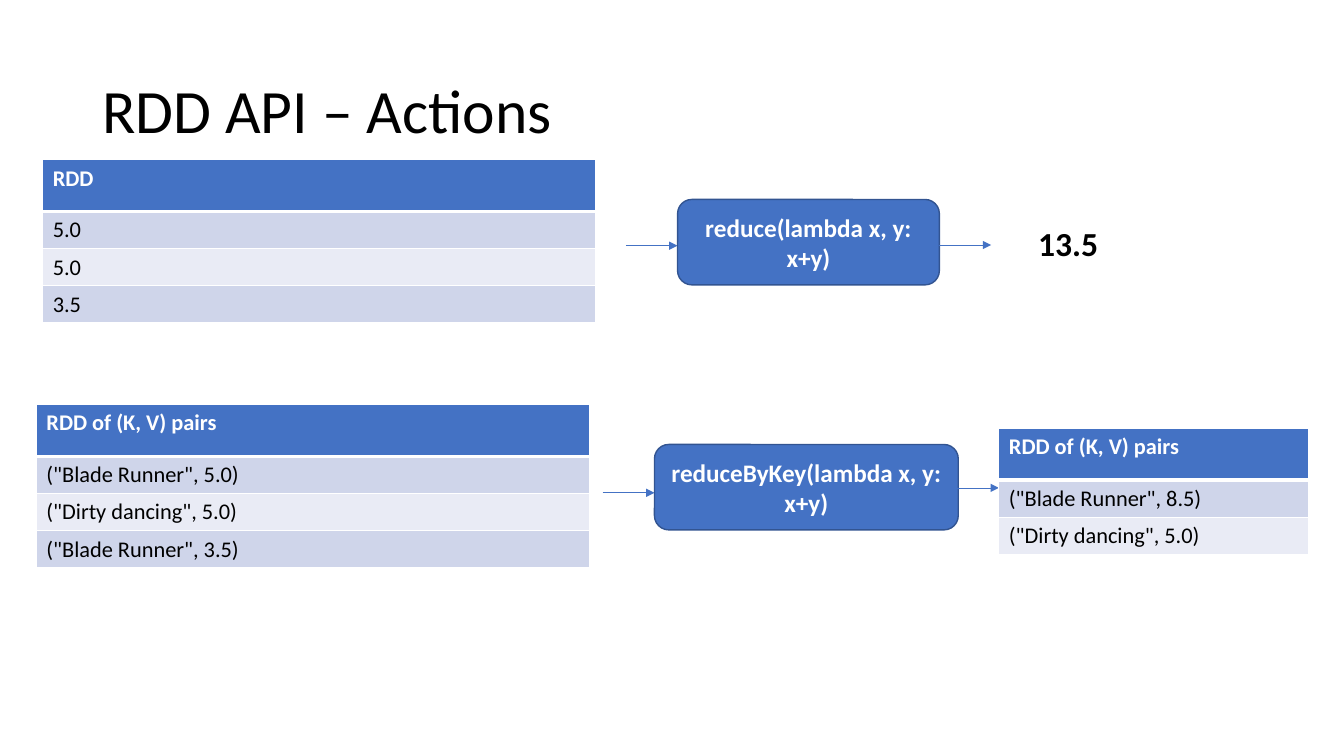
from dataclasses import dataclass

from lxml import etree
from pptx import Presentation
from pptx.dml.color import RGBColor
from pptx.enum.shapes import MSO_CONNECTOR, MSO_SHAPE
from pptx.enum.text import MSO_ANCHOR, PP_ALIGN
from pptx.oxml.ns import qn
from pptx.util import Pt

ROUND = MSO_SHAPE.ROUNDED_RECTANGLE
LINE = MSO_CONNECTOR.STRAIGHT
TOP, MIDDLE = MSO_ANCHOR.TOP, MSO_ANCHOR.MIDDLE
LEFT, CENTER = PP_ALIGN.LEFT, PP_ALIGN.CENTER


@dataclass(frozen=True)
class Theme:
    font: str = "Calibri"
    blue: str = "4472C4"
    edge: str = "325491"
    bands: tuple = ("CFD5EA", "E9EBF5")
    dark: str = "000000"
    light: str = "FFFFFF"
    title: int = 44
    value: int = 24
    label: int = 18
    cell: int = 16


def color(code):
    return RGBColor.from_string(code)


def write(frame, text, *, font, size, ink, bold=False, align=LEFT, space=None):
    """Put one formatted paragraph in a text frame."""
    para = frame.paragraphs[0]
    para.alignment = align
    para.line_spacing = space
    run = para.add_run()
    run.text = text
    run.font.name = font
    run.font.size = Pt(size)
    run.font.bold = bold
    run.font.color.rgb = color(ink)


def border(cell, ink, top, bottom):
    """Draw the four edges of a cell; top and bottom are widths in points."""
    props = cell._tc.get_or_add_tcPr()
    widths = {"a:lnL": 1, "a:lnR": 1, "a:lnT": top, "a:lnB": bottom}
    for spot, (tag, width) in enumerate(widths.items()):
        edge = etree.Element(qn(tag), w=str(Pt(width)))
        fill = etree.SubElement(edge, qn("a:solidFill"))
        etree.SubElement(fill, qn("a:srgbClr"), val=ink)
        props.insert(spot, edge)


class Painter:
    def __init__(self, slide, theme):
        self.slide = slide
        self.theme = theme

    def text(self, text, left, top, width, height, size, anchor=TOP,
             wrap=True, **style):
        box = self.slide.shapes.add_textbox(Pt(left), Pt(top), Pt(width), Pt(height))
        frame = box.text_frame
        frame.word_wrap = wrap
        frame.vertical_anchor = anchor
        write(frame, text, font=self.theme.font, size=size,
              ink=self.theme.dark, **style)

    def step(self, text, left, top, width, height=61):
        look = self.theme
        box = self.slide.shapes.add_shape(
            ROUND, Pt(left), Pt(top), Pt(width), Pt(height))
        box.shadow.inherit = False
        box.fill.solid()
        box.fill.fore_color.rgb = color(look.blue)
        box.line.color.rgb = color(look.edge)
        box.line.width = Pt(1)
        box.text_frame.word_wrap = True
        box.text_frame.vertical_anchor = MIDDLE
        write(box.text_frame, text, font=look.font, size=look.label,
              ink=look.light, bold=True, align=CENTER)

    def arrow(self, start, end, y):
        line = self.slide.shapes.add_connector(
            LINE, Pt(start), Pt(y), Pt(end), Pt(y))
        line.line.color.rgb = color(self.theme.blue)
        line.line.width = Pt(0.5)
        etree.SubElement(line.line._get_or_add_ln(), qn("a:tailEnd"), type="triangle")
        etree.SubElement(line._element.spPr, qn("a:effectLst"))

    def table(self, rows, left, top, width, head=37, body=26.6):
        look = self.theme
        height = head + body * (len(rows) - 1)
        grid = self.slide.shapes.add_table(
            len(rows), 1, Pt(left), Pt(top), Pt(width), Pt(height)).table
        for i, text in enumerate(rows):
            first = i == 0
            grid.rows[i].height = Pt(head if first else body)
            cell = grid.cell(i, 0)
            cell.fill.solid()
            cell.fill.fore_color.rgb = color(
                look.blue if first else look.bands[(i - 1) % 2])
            border(cell, look.light, 3 if i == 1 else 1, 3 if first else 1)
            write(cell.text_frame, text, font=look.font, size=look.cell,
                  ink=look.light if first else look.dark, bold=first)


def main():
    deck = Presentation()
    deck.slide_width, deck.slide_height = Pt(960), Pt(540)
    theme = Theme()
    paint = Painter(deck.slides.add_slide(deck.slide_layouts[6]), theme)

    # Title
    paint.text("RDD API – Actions", 66, 29, 828, 104, theme.title,
               anchor=MIDDLE, space=0.9)

    # Reduce: values to one sum
    paint.table(["RDD", "5.0", "5.0", "3.5"], 30.5, 114, 395)
    paint.arrow(447, 484, 175.5)
    paint.step("reduce(lambda x, y: x+y)", 484, 142.5, 187)
    paint.arrow(671, 708, 175)
    paint.text("13.5", 734.5, 155.5, 57.5, 36, theme.value, wrap=False, bold=True)

    # Reduce by key: pairs to one sum for each key
    pairs = "RDD of (K, V) pairs"
    paint.table([pairs, '("Blade Runner", 5.0)', '("Dirty dancing", 5.0)',
                 '("Blade Runner", 3.5)'], 26, 289, 395)
    paint.arrow(430.5, 467.5, 352)
    paint.step("reduceByKey(lambda x, y: x+y)", 467.5, 317.5, 217)
    paint.arrow(677, 713.5, 348.5)
    paint.table([pairs, '("Blade Runner", 8.5)', '("Dirty dancing", 5.0)'],
                713.5, 306, 221)

    deck.save("out.pptx")


if __name__ == "__main__":
    main()
